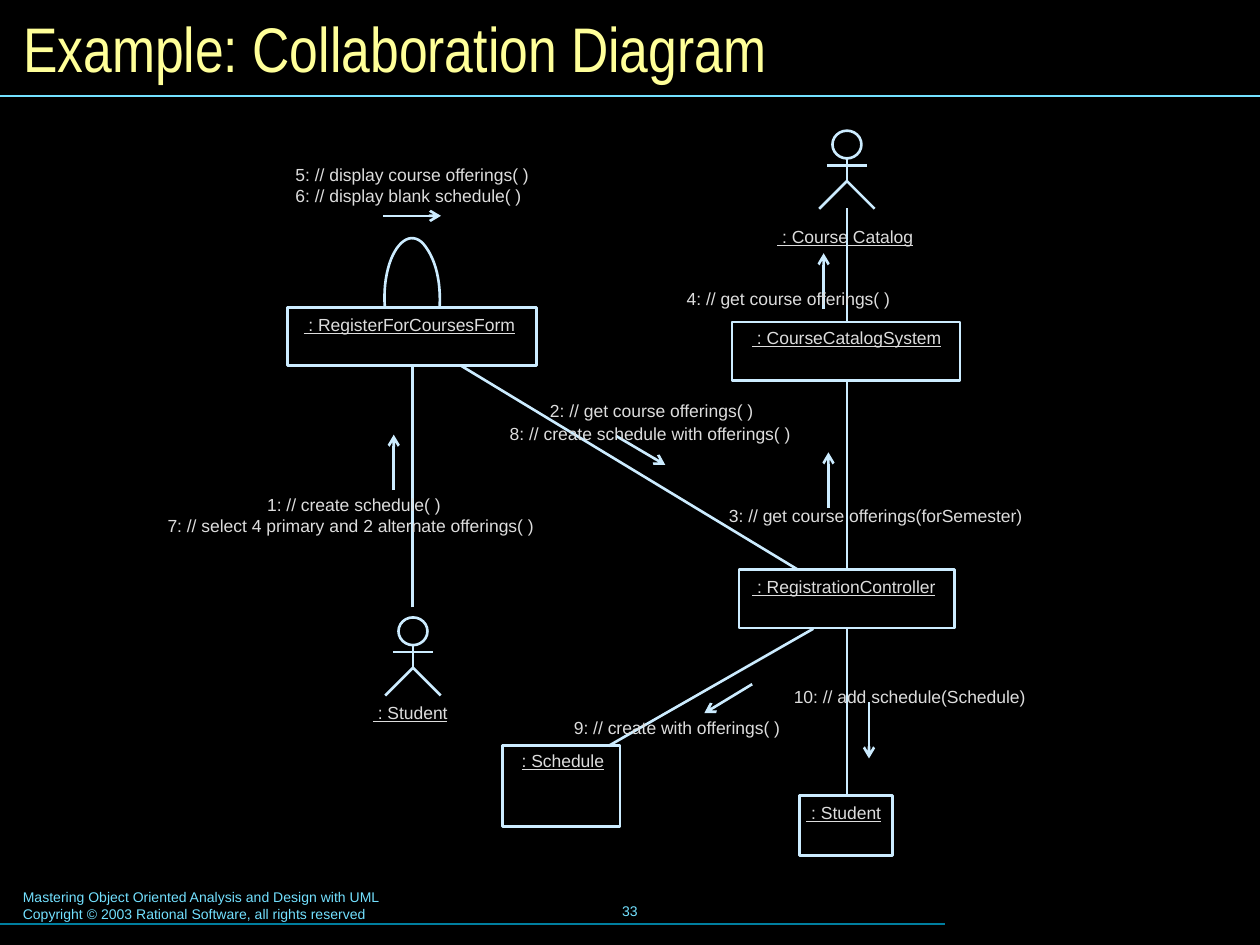
from lxml.etree import SubElement
from pptx import Presentation
from pptx.dml.color import RGBColor
from pptx.enum.shapes import MSO_CONNECTOR, MSO_SHAPE
from pptx.enum.text import MSO_ANCHOR, MSO_AUTO_SIZE, PP_ALIGN
from pptx.oxml.ns import qn
from pptx.util import Emu, Inches, Pt

COLUMNS, ROWS = 100, 75
WIDTH, HEIGHT = Inches(10), Inches(7.5)


def color(hex_string):
    return RGBColor.from_string(hex_string)


def col(count):
    return Emu(round(WIDTH * count / COLUMNS))


def row(count):
    return Emu(round(HEIGHT * count / ROWS))


def bezier(p0, p1, p2, p3, steps=12):
    """Points along a cubic curve, without its start."""
    for step in range(1, steps + 1):
        t = step / steps
        s = 1 - t
        yield tuple(s**3 * a + 3 * s * s * t * b + 3 * s * t * t * c + t**3 * d
                    for a, b, c, d in zip(p0, p1, p2, p3))


class Diagram:
    font, narrow_font = "Arial", "Arial Narrow"
    background, stroke, label_ink = "000000", "CCECFF", "DDDDDD"
    title_ink, accent, dark_accent = "FFFF99", "73E1FF", "007E9F"
    label_slack = 0.6

    def __init__(self, slide):
        self.slide = slide
        fill = slide.background.fill
        fill.solid()
        fill.fore_color.rgb = color(self.background)

    def add_run(self, paragraph, words, size, ink, font=None, underline=None):
        run = paragraph.add_run()
        run.text = words
        run.font.size = Pt(size)
        run.font.name = font or self.font
        run.font.color.rgb = color(ink)
        run.font.underline = underline

    def title(self, words, x, y, w, h):
        title = self.slide.shapes.title
        title.left, title.top, title.width, title.height = col(x), row(y), col(w), row(h)
        frame = title.text_frame
        frame.auto_size = MSO_AUTO_SIZE.NONE
        frame.vertical_anchor = MSO_ANCHOR.MIDDLE
        frame.paragraphs[0].alignment = PP_ALIGN.LEFT
        self.add_run(frame.paragraphs[0], words, 36, self.title_ink, self.narrow_font)

    def footer(self, lines, x, y, w, h, align=PP_ALIGN.LEFT, anchor=MSO_ANCHOR.TOP):
        frame = self.slide.shapes.add_textbox(col(x), row(y), col(w), row(h)).text_frame
        frame.word_wrap = True
        frame.vertical_anchor = anchor
        for number, line in enumerate(lines):
            paragraph = frame.add_paragraph() if number else frame.paragraphs[0]
            paragraph.alignment = align
            self.add_run(paragraph, line, 8, self.accent)

    def label(self, words, x, y, w, underline=None):
        box = self.slide.shapes.add_textbox(col(x), row(y), col(w + self.label_slack), row(1.7))
        frame = box.text_frame
        frame.margin_left = frame.margin_right = frame.margin_top = frame.margin_bottom = 0
        frame.word_wrap = True
        frame.auto_size = MSO_AUTO_SIZE.SHAPE_TO_FIT_TEXT
        self.add_run(frame.paragraphs[0], words, 10, self.label_ink, underline=underline)

    def outline(self, shape):
        shape.fill.background()
        shape.line.color.rgb = color(self.stroke)
        shape.line.width = Pt(1.5)
        shape.shadow.inherit = False

    def line(self, start, end, ink=None, weight=1.5, arrow=False, parent=None):
        shapes = (parent or self.slide).shapes
        link = shapes.add_connector(MSO_CONNECTOR.STRAIGHT, col(start[0]), row(start[1]),
                                    col(end[0]), row(end[1]))
        link.line.color.rgb = color(ink or self.stroke)
        link.line.width = Pt(weight)
        properties = link._element.spPr
        if arrow:
            SubElement(properties.find(qn("a:ln")), qn("a:tailEnd"), type="arrow")
        SubElement(properties, qn("a:effectLst"))

    def curve(self, points, parent=None):
        (x, y), *rest = [(col(px), row(py)) for px, py in points]
        builder = (parent or self.slide).shapes.build_freeform(x, y)
        builder.add_line_segments(rest, close=False)
        self.outline(builder.convert_to_shape())

    def shape(self, kind, x, y, w, h, parent=None):
        shapes = (parent or self.slide).shapes
        self.outline(shapes.add_shape(kind, col(x), row(y), col(w), row(h)))

    def actor(self, x, y):
        """Stick figure centred on column x with its head at row y."""
        figure = self.slide.shapes.add_group_shape()
        self.shape(MSO_SHAPE.OVAL, x - 1.15, y, 2.3, 2.2, figure)
        self.line((x, y + 2.2), (x, y + 4), parent=figure)
        self.line((x - 1.6, y + 2.75), (x + 1.6, y + 2.75), parent=figure)
        self.curve([(x - 2.2, y + 6.2), (x, y + 4), (x + 2.2, y + 6.2)], figure)


def main():
    deck = Presentation()
    deck.slide_width, deck.slide_height = WIDTH, HEIGHT
    diagram = Diagram(deck.slides.add_slide(deck.slide_layouts[5]))

    # Title and footer
    diagram.title("Example: Collaboration Diagram", 0.83, 0.87, 98.4, 5.8)
    diagram.line((0, 7.63), (100, 7.63), diagram.accent, 0.75)
    diagram.line((0, 73.34), (75, 73.34), diagram.dark_accent, 0.75)
    diagram.footer(["Mastering Object Oriented Analysis and Design with UML",
                    "Copyright © 2003 Rational Software, all rights reserved"],
                   0.83, 70.03, 51, 3.7)
    diagram.footer(["33"], 34.15, 69.8, 31.7, 5, PP_ALIGN.CENTER, MSO_ANCHOR.MIDDLE)

    # Objects: box, then label offset and width
    objects = [
        (" : RegisterForCoursesForm", 22.8, 24.4, 19.8, 4.6, 1.3, 0.5, 16.8),
        (" : RegistrationController", 58.64, 45.2, 17.1, 4.65, 1.06, 0.5, 14.5),
        (": Schedule", 39.9, 59.15, 9.3, 6.45, 1.5, 0.35, 7.4),
        (" : Student", 63.45, 63.15, 7.4, 4.75, 0.55, 0.5, 5.9),
        (" : CourseCatalogSystem", 58.1, 25.55, 18.1, 4.65, 1.6, 0.4, 15),
    ]
    for name, x, y, w, h, indent, drop, label_width in objects:
        diagram.shape(MSO_SHAPE.RECTANGLE, x, y, w, h)
        diagram.label(name, x + indent, y + drop, label_width, underline=True)

    # Actors
    diagram.actor(67.22, 10.37)
    diagram.label(" : Course Catalog", 61.7, 17.9, 10.8, underline=True)
    diagram.actor(32.78, 49)
    diagram.label(" : Student", 29.6, 55.7, 5.9, underline=True)

    # Links between objects, with the form's link to itself
    links = [
        ((32.73, 48.2), (32.73, 29)),
        ((36.55, 29), (63.3, 45.2)),
        ((64.55, 49.9), (48.3, 59.2)),
        ((67.23, 45.2), (67.23, 30.3)),
        ((67.23, 49.9), (67.23, 63.1)),
        ((67.23, 25.6), (67.23, 16.5)),
    ]
    for start, end in links:
        diagram.line(start, end)
    left, left_top, right_top, right = (30.55, 24.4), (31.5, 19.7), (33.8, 19.6), (34.9, 24.3)
    diagram.curve([left,
                   *bezier(left, (30.4, 22.5), (30.8, 20.7), left_top),
                   *bezier(left_top, (32.2, 18.7), (33.1, 18.6), right_top),
                   *bezier(right_top, (34.6, 20.7), (35, 22.4), right)])

    # Message directions
    directions = [
        ((30.4, 17.13), (35, 17.13)),
        ((31.25, 38.9), (31.25, 34.5)),
        ((48.9, 34.6), (52.8, 36.9)),
        ((59.7, 54.3), (55.9, 56.6)),
        ((65.75, 40.3), (65.75, 35.9)),
        ((68.97, 55.7), (68.97, 60.2)),
        ((65.37, 24.5), (65.37, 20.1)),
    ]
    for start, end in directions:
        diagram.line(start, end, arrow=True)

    # Messages
    messages = [
        ("1: // create schedule( )", 21.2, 39.2, 13.8),
        ("2: // get course offerings( )", 43.65, 31.75, 16.2),
        ("3: // get course offerings(forSemester)", 57.85, 40.1, 23.3),
        ("4: // get course offerings( )", 54.5, 22.85, 16.2),
        ("5: // display course offerings( )", 23.45, 13, 18.5),
        ("6: // display blank schedule( )", 23.45, 14.7, 17.9),
        ("7: // select 4 primary and 2 alternate offerings( )", 13.3, 40.9, 29.1),
        ("8: // create schedule with offerings( )", 40.45, 33.6, 22.3),
        ("9: // create with offerings( )", 45.55, 56.9, 16.4),
        ("10: // add schedule(Schedule)", 63, 54.45, 18.4),
    ]
    for words, x, y, w in messages:
        diagram.label(words, x, y, w)

    deck.save("out.pptx")


if __name__ == "__main__":
    main()
